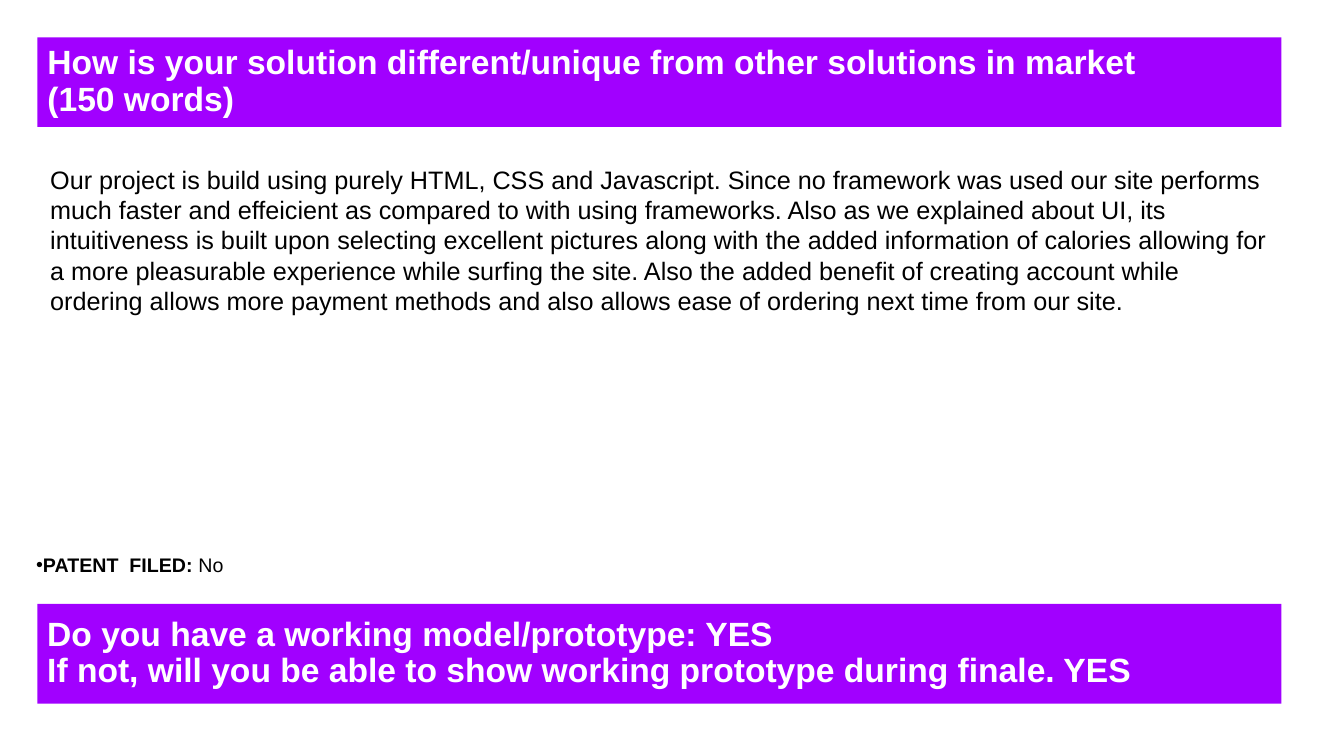
from lxml import etree
from pptx import Presentation
from pptx.dml.color import RGBColor
from pptx.enum.shapes import MSO_SHAPE
from pptx.enum.text import MSO_ANCHOR, MSO_AUTO_SIZE, PP_ALIGN
from pptx.oxml.ns import qn
from pptx.util import Inches, Pt

RECTANGLE = MSO_SHAPE.RECTANGLE
MIDDLE, TOP = MSO_ANCHOR.MIDDLE, MSO_ANCHOR.TOP
LEFT = PP_ALIGN.LEFT
NO_AUTOFIT = MSO_AUTO_SIZE.NONE
TITLE_ONLY = 5

FONT = "Arial"
PURPLE, WHITE, BLACK = "A100FF", "FFFFFF", "000000"
BAND_LEFT, BAND_WIDTH = 0.37, 12.34

TITLE = ("How is your solution different/unique from other solutions in market "
         "\v(150 words)")
ANSWER = (
    "Our project is build using purely HTML, CSS and Javascript. Since no framework "
    "was used our site performs much faster and effeicient as compared to with using "
    "frameworks. Also as we explained about UI, its intuitiveness is built upon "
    "selecting excellent pictures along with the added information of calories "
    "allowing for a more pleasurable experience while surfing the site. Also the "
    "added benefit of creating account while ordering allows more payment methods "
    "and also allows ease of ordering next time from our site."
)
PROTOTYPE = ("Do you have a working model/prototype: YES\n"
             "If not, will you be able to show working prototype during finale. YES")


def color(value):
    """Turn a hex string into a colour."""
    return RGBColor.from_string(value)


def format_run(run, size, font_color, bold=False):
    """Set the font of one run."""
    run.font.name = FONT
    run.font.size = Pt(size)
    run.font.bold = bold
    run.font.color.rgb = color(font_color)


def set_frame(text_frame, anchor, vertical_inset=0.05):
    """Set wrapping, anchor and insets of a text frame."""
    text_frame.word_wrap = True
    text_frame.auto_size = NO_AUTOFIT
    text_frame.vertical_anchor = anchor
    text_frame.margin_left = text_frame.margin_right = Inches(0.1)
    text_frame.margin_top = text_frame.margin_bottom = Inches(vertical_inset)


def format_band(shape, text, top, height):
    """Make a shape a purple band with bold white text."""
    shape.left, shape.top = Inches(BAND_LEFT), Inches(top)
    shape.width, shape.height = Inches(BAND_WIDTH), Inches(height)
    shape.fill.solid()
    shape.fill.fore_color.rgb = color(PURPLE)
    shape.line.fill.background()
    set_frame(shape.text_frame, MIDDLE)
    shape.text_frame.text = text
    for paragraph in shape.text_frame.paragraphs:
        paragraph.alignment = LEFT
        paragraph.line_spacing = 0.9
        paragraph.space_before = Pt(0)
        for run in paragraph.runs:
            format_run(run, 24, WHITE, bold=True)


def add_text(slide, left, top, width, height, parts, size, vertical_inset=0.05):
    """Add a text box of (text, bold) parts and return its paragraph."""
    box = slide.shapes.add_textbox(
        Inches(left), Inches(top), Inches(width), Inches(height))
    set_frame(box.text_frame, TOP, vertical_inset)
    paragraph = box.text_frame.paragraphs[0]
    for text, bold in parts:
        run = paragraph.add_run()
        run.text = text
        format_run(run, size, BLACK, bold)
    return paragraph


def add_bullet(paragraph):
    """Give a paragraph a black bullet with a small hanging indent."""
    properties = paragraph._p.get_or_add_pPr()
    properties.set("marL", "0")
    properties.set("indent", str(Inches(-0.1)))
    bullet_color = etree.SubElement(properties, qn("a:buClr"))
    etree.SubElement(bullet_color, qn("a:srgbClr"), val=BLACK)
    etree.SubElement(properties, qn("a:buFont"), typeface=FONT)
    etree.SubElement(properties, qn("a:buChar"), char="•")


def main():
    """Build the slide and save it."""
    presentation = Presentation()
    presentation.slide_width = Inches(13.33)
    presentation.slide_height = Inches(7.5)
    slide = presentation.slides.add_slide(presentation.slide_layouts[TITLE_ONLY])

    format_band(slide.shapes.title, TITLE, 0.37, 0.89)

    patent = add_text(slide, 0.26, 5.44, 6.66, 0.34,
                      [("PATENT  FILED: ", True), ("No", False)], 14)
    patent.level = 1
    add_bullet(patent)

    prototype_band = slide.shapes.add_shape(RECTANGLE, 0, 0, 0, 0)
    prototype_band.shadow.inherit = False
    format_band(prototype_band, PROTOTYPE, 5.99, 0.99)

    add_text(slide, 0.4, 1.53, BAND_WIDTH, 1.72, [(ANSWER, False)], 18,
             vertical_inset=0.1)

    presentation.save("out.pptx")


main()
